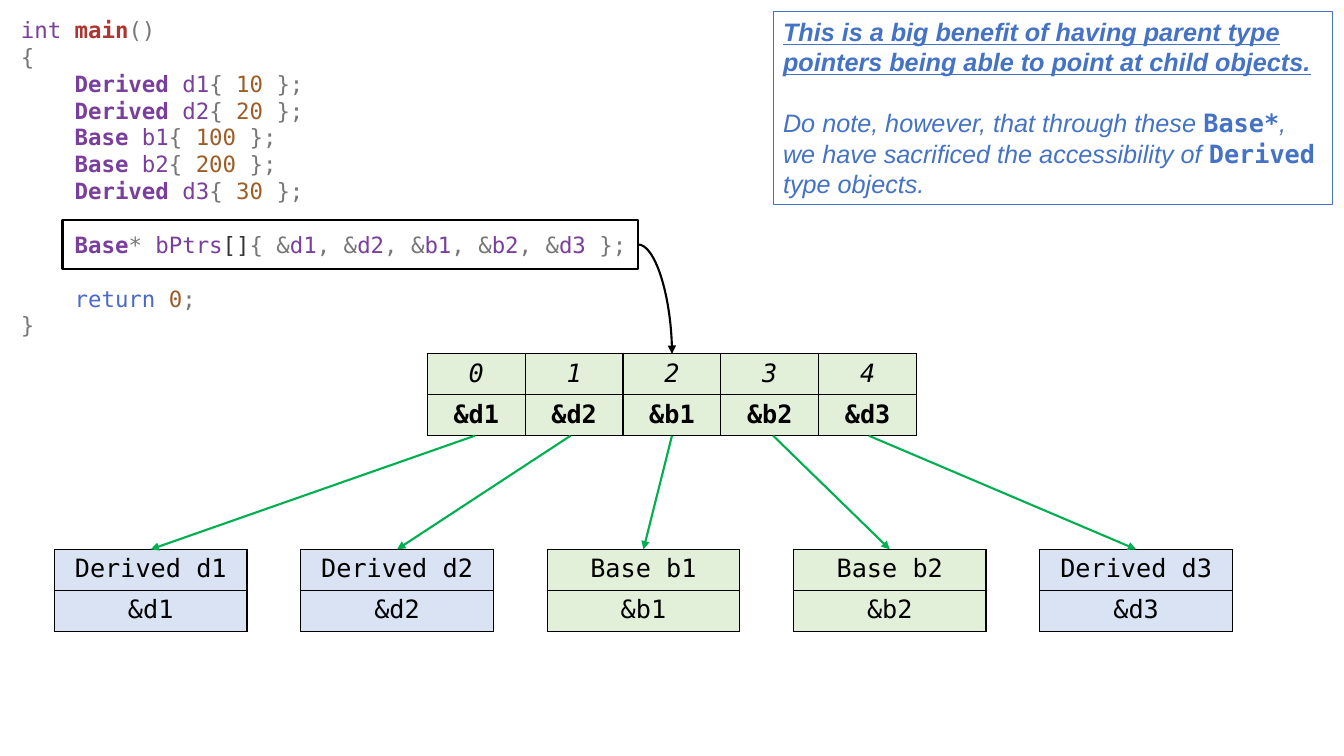
import pptx
import pptx.util
import pptx.dml.color
import pptx.enum.shapes
import pptx.enum.text
import pptx.oxml
import pptx.oxml.ns

Pt = pptx.util.Pt
RGB = pptx.dml.color.RGBColor.from_string
qn = pptx.oxml.ns.qn
CONN = pptx.enum.shapes.MSO_CONNECTOR
SANS, MONO = "Arial", "DejaVu Sans Mono"
COLORS = {
    "name": "7A3E9D", "type": "7A3E9D", "func": "AA3731", "punct": "777777",
    "number": "9C5D27", "plain": "333333", "keyword": "4B69C6",
    "note": "4472C4", "base": "E2F0D9", "derived": "DAE3F3",
    "arrow": "00B050", "black": "000000",
}

prs = pptx.Presentation()
prs.slide_width = pptx.util.Inches(13.333)
prs.slide_height = pptx.util.Inches(7.5)
s = prs.slides.add_slide(prs.slide_layouts[6])
# One column and one row are a hundredth of the slide
col, row = prs.slide_width / 100, prs.slide_height / 100


def add_run(p, text, color, **formats):
    r = p.add_run()
    r.text = text
    r.font.color.rgb = RGB(COLORS[color])
    for key, value in formats.items():
        setattr(r.font, key, value)


def add_grid(x, y, width, lines, fill, formats):
    """Add a bordered table at x, y with one dict of font formats per line."""
    line_height = 5.42
    table = s.shapes.add_table(
        len(lines), len(lines[0]), int(x * col), int(y * row),
        int(width * col), int(line_height * len(lines) * row)).table
    table.first_row = table.horz_banding = False
    for i, line in enumerate(lines):
        table.rows[i].height = int(line_height * row)
        for j, text in enumerate(line):
            cell = table.cell(i, j)
            tcPr = cell._tc.get_or_add_tcPr()
            for side in ("lnL", "lnR", "lnT", "lnB"):
                tcPr.append(pptx.oxml.parse_xml(
                    f'<a:{side} {pptx.oxml.ns.nsdecls("a")} w="12700"><a:solidFill>'
                    f'<a:srgbClr val="{COLORS["black"]}"/></a:solidFill></a:{side}>'))
            cell.fill.solid()
            cell.fill.fore_color.rgb = RGB(COLORS[fill])
            p = cell.text_frame.paragraphs[0]
            p.alignment = pptx.enum.text.PP_ALIGN.CENTER
            add_run(p, text, "black", size=Pt(18), name=MONO, **formats[i])


# Code listing
objects = [("Derived", "d1", 10), ("Derived", "d2", 20), ("Base", "b1", 100),
           ("Base", "b2", 200), ("Derived", "d3", 30)]
pointers = ["d1", "d2", "b1", "b2", "d3"]
indent = ("    ", "plain")

code = [[("int ", "name"), ("main", "func"), ("()", "punct")], [("{", "punct")]]
for kind, name, value in objects:
    code.append([indent, (kind + " ", "type"), (name, "name"), ("{ ", "punct"),
                 (f"{value} ", "number"), ("};", "punct")])
array_line = [indent, ("Base", "type"), ("* ", "punct"), ("bPtrs", "name"), ("[]", "plain")]
for i, name in enumerate(pointers):
    array_line += [(", &" if i else "{ &", "punct"), (name, "name")]
array_line.append((" };", "punct"))
return_line = [indent, ("return ", "keyword"), ("0", "number"), (";", "punct")]
code += [array_line, return_line, [("}", "punct")]]

tf = s.shapes.add_textbox(int(0.82 * col), int(1.47 * row),
                          int(46.65 * col), int(45.33 * row)).text_frame
tf.word_wrap = True
for i, line in enumerate(code):
    p = tf.paragraphs[0] if i == 0 else tf.add_paragraph()
    p.line_spacing = Pt(19.2)
    if line in (array_line, return_line):
        p.space_before = Pt(19.2)
    for text, style in line:
        add_run(p, text, style, size=Pt(16), name=MONO, bold=style in ("type", "func"))

# Pointer array and the objects it points at
add_grid(31.8, 46.8, 36.4, [[str(i) for i in range(5)], ["&" + n for n in pointers]],
         "base", [{"italic": True}, {"bold": True}])
object_left, object_pitch, object_width, object_top = 4.05, 18.33, 14.33, 72.67
for i, (kind, name, value) in enumerate(objects):
    add_grid(object_left + i * object_pitch, object_top, object_width,
             [[f"{kind} {name}"], ["&" + name]], kind.lower(), [{}, {}])

# Note and highlight frames
frames = []
for x, y, width, height, color, weight in (
        (57.53, 1.47, 41.63, 25.6, "note", 0.75),
        (4.65, 29.07, 42.82, 6.53, "black", 1.5)):
    sp = s.shapes.add_shape(pptx.enum.shapes.MSO_SHAPE.RECTANGLE, int(x * col),
                            int(y * row), int(width * col), int(height * row))
    sp.shadow.inherit = False
    sp.fill.background()
    sp.line.color.rgb = RGB(COLORS[color])
    sp.line.width = Pt(weight)
    frames.append(sp)

tf = frames[0].text_frame
tf.word_wrap = True
tf.vertical_anchor = pptx.enum.text.MSO_ANCHOR.TOP
strong = {"name": SANS, "bold": True, "italic": True, "underline": True}
plain = {"name": SANS, "italic": True}
term = {"name": MONO, "bold": True}
note = [
    [("This is a big benefit of having parent type pointers being able to "
      "point at child objects.", strong)],
    [("Do note, however, that through these ", plain), ("Base*", term),
     (", we have sacrificed the accessibility of ", plain), ("Derived", term),
     (" type objects.", plain)],
]
for i, runs in enumerate(note):
    p = tf.paragraphs[0] if i == 0 else tf.add_paragraph()
    p.alignment = pptx.enum.text.PP_ALIGN.LEFT
    p.line_spacing = Pt(21.7)
    if i:
        p.space_before = Pt(21.7)
    for text, formats in runs:
        add_run(p, text, "note", size=Pt(18), **formats)

# Arrows from array cells to objects, then from the code to the array
arrows = [(CONN.STRAIGHT, x, 57.64, object_left + object_width / 2 + i * object_pitch,
           object_top, "arrow")
          for i, x in enumerate((35.33, 42.45, 50, 57.53, 64.65))]
arrows.append((CONN.CURVE, 47.47, 32.33, 50, 46.8, "black"))
for kind, x1, y1, x2, y2, color in arrows:
    cxn = s.shapes.add_connector(kind, int(x1 * col), int(y1 * row),
                                 int(x2 * col), int(y2 * row))
    cxn.line.color.rgb = RGB(COLORS[color])
    cxn.line.width = Pt(1.5)
    spPr = cxn._element.spPr
    tail = pptx.oxml.parse_xml(f'<a:tailEnd {pptx.oxml.ns.nsdecls("a")} type="triangle"/>')
    spPr.find(qn("a:ln")).append(tail)
    spPr.append(pptx.oxml.parse_xml(f'<a:effectLst {pptx.oxml.ns.nsdecls("a")}/>'))
    if kind == CONN.CURVE:
        spPr.find(qn("a:prstGeom")).set("prst", "curvedConnector2")

prs.save("out.pptx")
